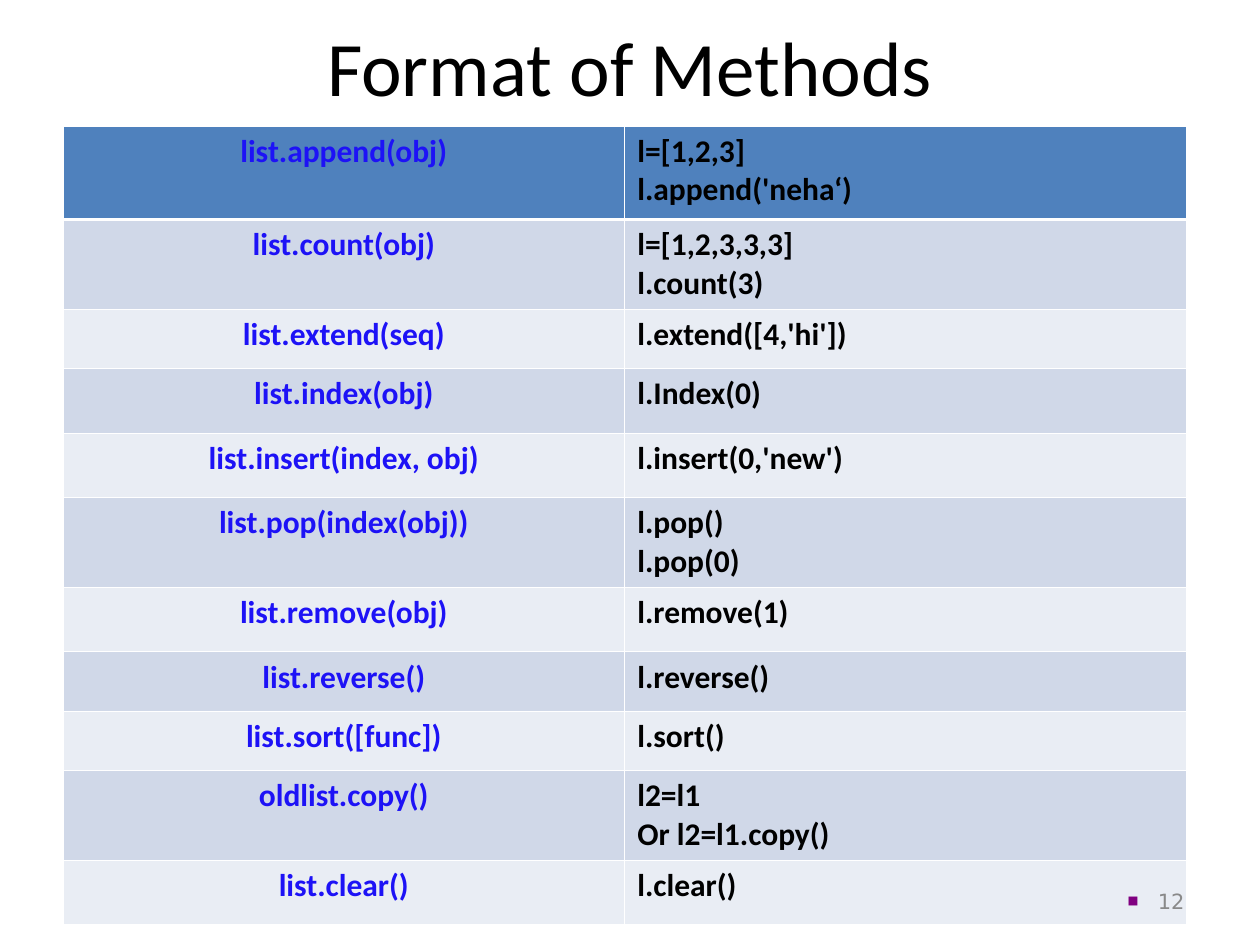
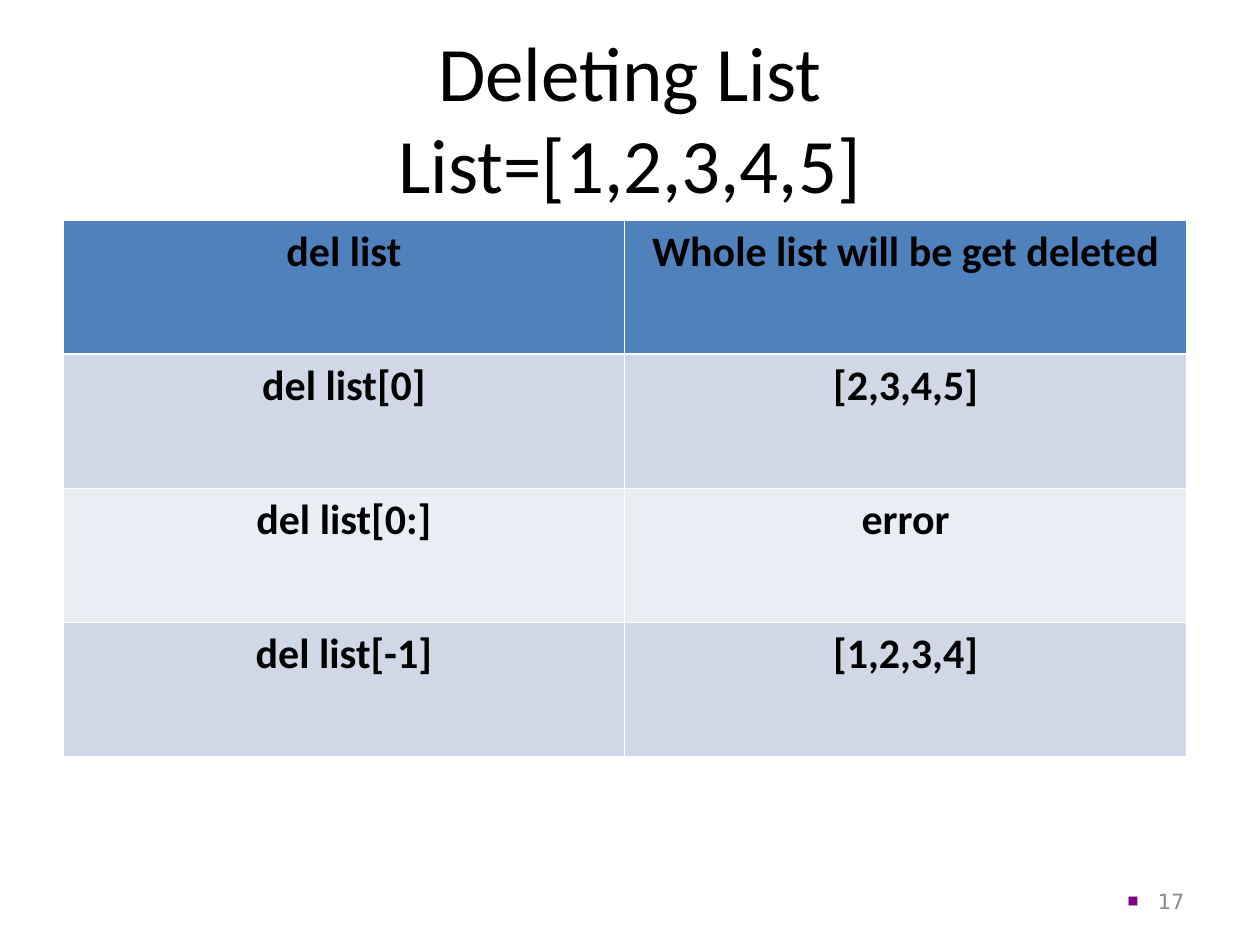
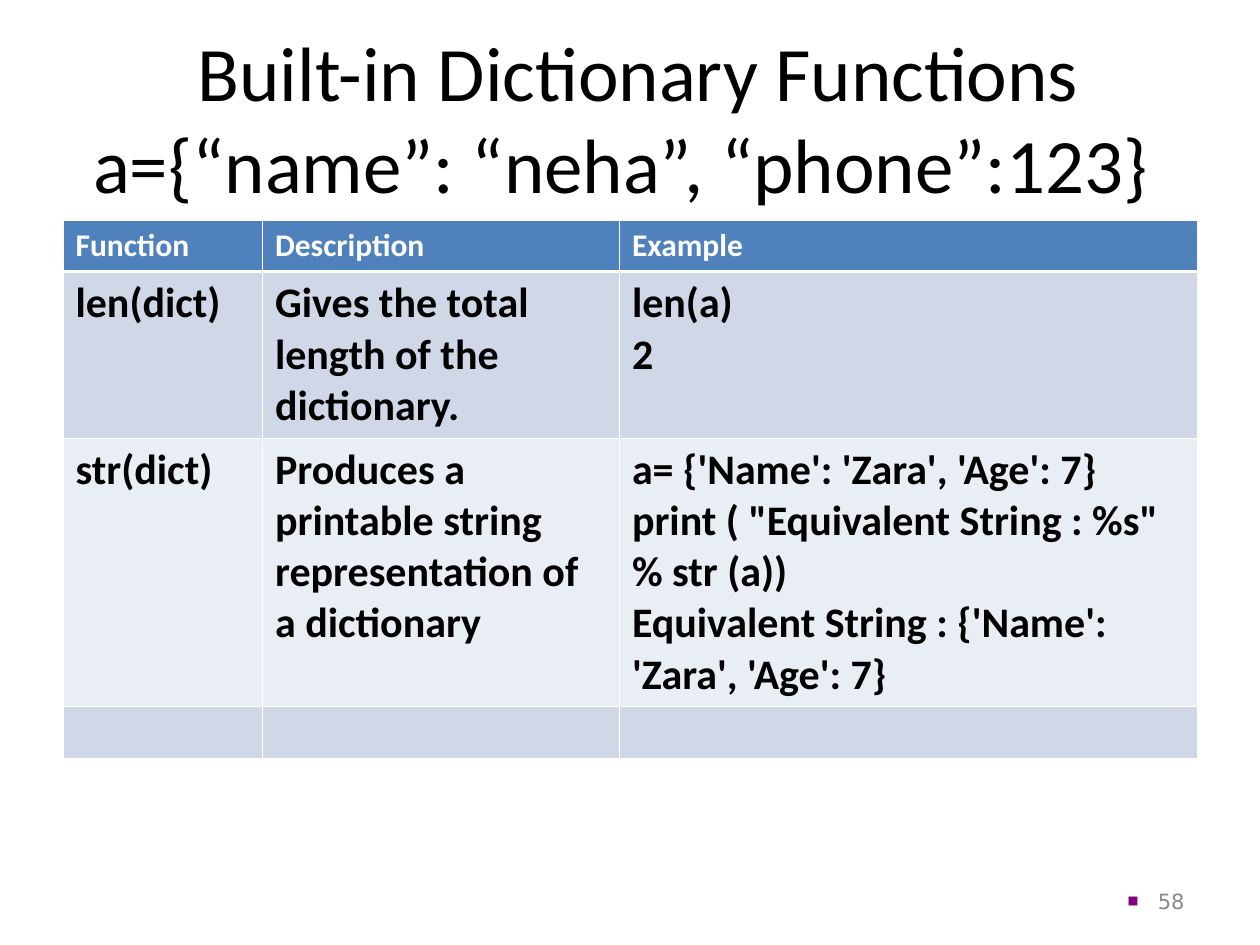
"""Build three slides of reference tables for list and dictionary functions."""

from dataclasses import dataclass
from typing import Any

from lxml.etree import SubElement
from pptx import Presentation
from pptx.dml.color import RGBColor
from pptx.enum.text import MSO_ANCHOR, MSO_AUTO_SIZE, PP_ALIGN
from pptx.oxml.ns import qn
from pptx.slide import Slide
from pptx.table import _Cell
from pptx.text.text import _Paragraph
from pptx.util import Inches, Pt

BLACK = RGBColor(0x00, 0x00, 0x00)
WHITE = RGBColor(0xFF, 0xFF, 0xFF)
METHOD_BLUE = RGBColor(0x1D, 0x12, 0xF6)
HEADER_BLUE = RGBColor(0x4F, 0x81, 0xBD)
BAND_DARK = RGBColor(0xD0, 0xD8, 0xE8)
BAND_LIGHT = RGBColor(0xE9, 0xED, 0xF4)
NUMBER_GREY = RGBColor(0x89, 0x89, 0x89)
BULLET_PURPLE = RGBColor(0x80, 0x00, 0x80)

SLIDE_WIDTH, SLIDE_HEIGHT = Inches(10), Inches(7.5)
GRID_COLUMNS = 120
UNIT = SLIDE_WIDTH / GRID_COLUMNS
LEFT = 6
TITLE_TOP, TITLE_WIDTH = 3.6, 108
NUMBER_BOX = (86, 83.4, 28, 4.8)
THIN, THICK = Pt(0.45), Pt(1.47)

TITLE_FONT = {"name": "Calibri", "size": Pt(44), "bold": False}
NUMBER_FONT = {"name": "DejaVu Sans", "size": Pt(12)}


@dataclass(frozen=True)
class Column:
    """Width in grid units and text style of one table column."""

    width: float
    alignment: PP_ALIGN = PP_ALIGN.LEFT
    color: RGBColor = BLACK
    margin: float = 0.1


@dataclass(frozen=True)
class Row:
    """Height in grid units and cell texts of one table row."""

    height: float
    texts: tuple[str, ...]


@dataclass(frozen=True)
class TableSlide:
    """Content of one slide with a title, a table and a number."""

    title: str
    number: int
    columns: tuple[Column, ...]
    rows: tuple[Row, ...]
    size: int = 24
    title_height: float = 15
    table_top: float = 21
    header_size: int | None = None
    header_color: RGBColor | None = None


SLIDES = (
    TableSlide(
        "Format of Methods",
        12,
        (Column(53.5, PP_ALIGN.CENTER, METHOD_BLUE, 0.08), Column(53.5)),
        (
            Row(8.9, ("list.append(obj)", "l=[1,2,3]\nl.append('neha‘)")),
            Row(8.55, ("list.count(obj)", "l=[1,2,3,3,3]\nl.count(3)")),
            Row(5.65, ("list.extend(seq)", "l.extend([4,'hi'])")),
            Row(6.15, ("list.index(obj)", "l.Index(0)")),
            Row(6.15, ("list.insert(index, obj)", "l.insert(0,'new')")),
            Row(8.55, ("list.pop(index(obj))", "l.pop()\nl.pop(0)")),
            Row(6.15, ("list.remove(obj)", "l.remove(1)")),
            Row(5.65, ("list.reverse()", "l.reverse()")),
            Row(5.65, ("list.sort([func])", "l.sort()")),
            Row(8.55, ("oldlist.copy()", "l2=l1\nOr l2=l1.copy()")),
            Row(6.15, ("list.clear()", "l.clear()")),
        ),
        size=18,
        title_height=5.4,
        table_top=12,
    ),
    TableSlide(
        "Deleting List\nList=[1,2,3,4,5]",
        17,
        (Column(53.5, PP_ALIGN.CENTER), Column(53.5, PP_ALIGN.CENTER)),
        (
            Row(12.75, ("del list", "Whole list will be get deleted")),
            Row(12.75, ("del list[0]", "[2,3,4,5]")),
            Row(12.75, ("del list[0:]", "error")),
            Row(12.75, ("del list[-1]", "[1,2,3,4]")),
        ),
    ),
    TableSlide(
        " Built-in Dictionary Functions\na={“name”: “neha”, “phone”:123} ",
        58,
        (Column(19), Column(34), Column(55)),
        (
            Row(4.8, ("Function", "Description", "Example")),
            Row(15.6, ("len(dict)", "Gives the total length of the dictionary.", "len(a)\n2")),
            Row(
                25.2,
                (
                    "str(dict)",
                    "Produces a printable string representation of a dictionary",
                    "a= {'Name': 'Zara', 'Age': 7}\n"
                    "print ( \"Equivalent String : %s\" % str (a))\n"
                    "Equivalent String : {'Name': 'Zara', 'Age': 7}",
                ),
            ),
            Row(4.8, ("", "", "")),
        ),
        header_size=18,
        header_color=WHITE,
    ),
)


def grid(units: float) -> int:
    """Turn grid units into a slide length."""
    return round(units * UNIT)


def set_values(target: Any, values: dict[str, Any]) -> None:
    """Set every named attribute on the target."""
    for name, value in values.items():
        setattr(target, name, value)


def format_text(paragraph: _Paragraph, font: dict[str, Any], color: RGBColor, alignment: PP_ALIGN) -> None:
    """Give a paragraph and its runs one style."""
    paragraph.alignment = alignment
    for item in (paragraph, *paragraph.runs):
        set_values(item.font, font)
        item.font.color.rgb = color


def add_title(slide: Slide, content: TableSlide) -> None:
    """Place and fill the title placeholder."""
    title = slide.shapes.title
    set_values(
        title,
        {
            "left": grid(LEFT),
            "top": grid(TITLE_TOP),
            "width": grid(TITLE_WIDTH),
            "height": grid(content.title_height),
        },
    )
    frame = title.text_frame
    set_values(
        frame,
        {
            "auto_size": MSO_AUTO_SIZE.NONE,
            "vertical_anchor": MSO_ANCHOR.MIDDLE,
            "word_wrap": True,
            "margin_left": 0,
            "margin_right": 0,
            "margin_top": 0,
            "margin_bottom": 0,
        },
    )
    paragraph = frame.paragraphs[0]
    paragraph.text = content.title
    format_text(paragraph, TITLE_FONT, BLACK, PP_ALIGN.CENTER)


def set_borders(cell: _Cell, row_index: int) -> None:
    """Draw white cell borders, with a thick rule below the header."""
    widths = {
        "a:lnL": THIN,
        "a:lnR": THIN,
        "a:lnT": THICK if row_index == 1 else THIN,
        "a:lnB": THICK if row_index == 0 else THIN,
    }
    properties = cell._tc.get_or_add_tcPr()
    for position, (tag, width) in enumerate(widths.items()):
        line = SubElement(properties, qn(tag), w=str(int(width)))
        fill = SubElement(line, qn("a:solidFill"))
        SubElement(fill, qn("a:srgbClr"), val=str(WHITE))
        properties.insert(position, line)


def fill_cell(cell: _Cell, text: str, column: Column, row_index: int, content: TableSlide) -> None:
    """Write and style one table cell."""
    is_header = row_index == 0
    size = content.header_size if is_header and content.header_size else content.size
    color = content.header_color if is_header and content.header_color else column.color
    set_values(
        cell,
        {
            "margin_left": Inches(column.margin),
            "margin_right": Inches(column.margin),
            "margin_top": Inches(0.05),
            "margin_bottom": Inches(0.05),
        },
    )
    cell.fill.solid()
    cell.fill.fore_color.rgb = HEADER_BLUE if is_header else (BAND_LIGHT, BAND_DARK)[row_index % 2]
    set_borders(cell, row_index)
    if not text:
        return
    cell.text_frame.text = text
    font = {"name": "Calibri", "size": Pt(size), "bold": True}
    for paragraph in cell.text_frame.paragraphs:
        format_text(paragraph, font, color, column.alignment)


def add_reference_table(slide: Slide, content: TableSlide) -> None:
    """Add the banded table of functions."""
    table = slide.shapes.add_table(
        len(content.rows),
        len(content.columns),
        grid(LEFT),
        grid(content.table_top),
        grid(sum(column.width for column in content.columns)),
        grid(sum(row.height for row in content.rows)),
    ).table
    for column_index, column in enumerate(content.columns):
        table.columns[column_index].width = grid(column.width)
    for row_index, row in enumerate(content.rows):
        table.rows[row_index].height = grid(row.height)
        for column_index, (column, text) in enumerate(zip(content.columns, row.texts)):
            fill_cell(table.cell(row_index, column_index), text, column, row_index, content)


def add_number(slide: Slide, number: int) -> None:
    """Add the bulleted slide number at the lower right."""
    frame = slide.shapes.add_textbox(*map(grid, NUMBER_BOX)).text_frame
    set_values(frame, {"word_wrap": True, "vertical_anchor": MSO_ANCHOR.MIDDLE})
    paragraph = frame.paragraphs[0]
    paragraph.text = str(number)
    paragraph.space_before = Pt(5)
    format_text(paragraph, NUMBER_FONT, NUMBER_GREY, PP_ALIGN.RIGHT)
    properties = paragraph._p.get_or_add_pPr()
    indent = Inches(0.24)
    properties.set("marL", str(indent))
    properties.set("indent", str(-indent))
    color = SubElement(properties, qn("a:buClr"))
    SubElement(color, qn("a:srgbClr"), val=str(BULLET_PURPLE))
    SubElement(properties, qn("a:buSzPct"), val="55000")
    SubElement(properties, qn("a:buFont"), typeface="DejaVu Sans")
    SubElement(properties, qn("a:buChar"), char="■")


def main() -> None:
    """Build and save the presentation."""
    presentation = Presentation()
    set_values(presentation, {"slide_width": SLIDE_WIDTH, "slide_height": SLIDE_HEIGHT})
    title_only = presentation.slide_layouts.get_by_name("Title Only")
    for content in SLIDES:
        slide = presentation.slides.add_slide(title_only)
        add_title(slide, content)
        add_reference_table(slide, content)
        add_number(slide, content.number)
    presentation.save("out.pptx")


if __name__ == "__main__":
    main()
